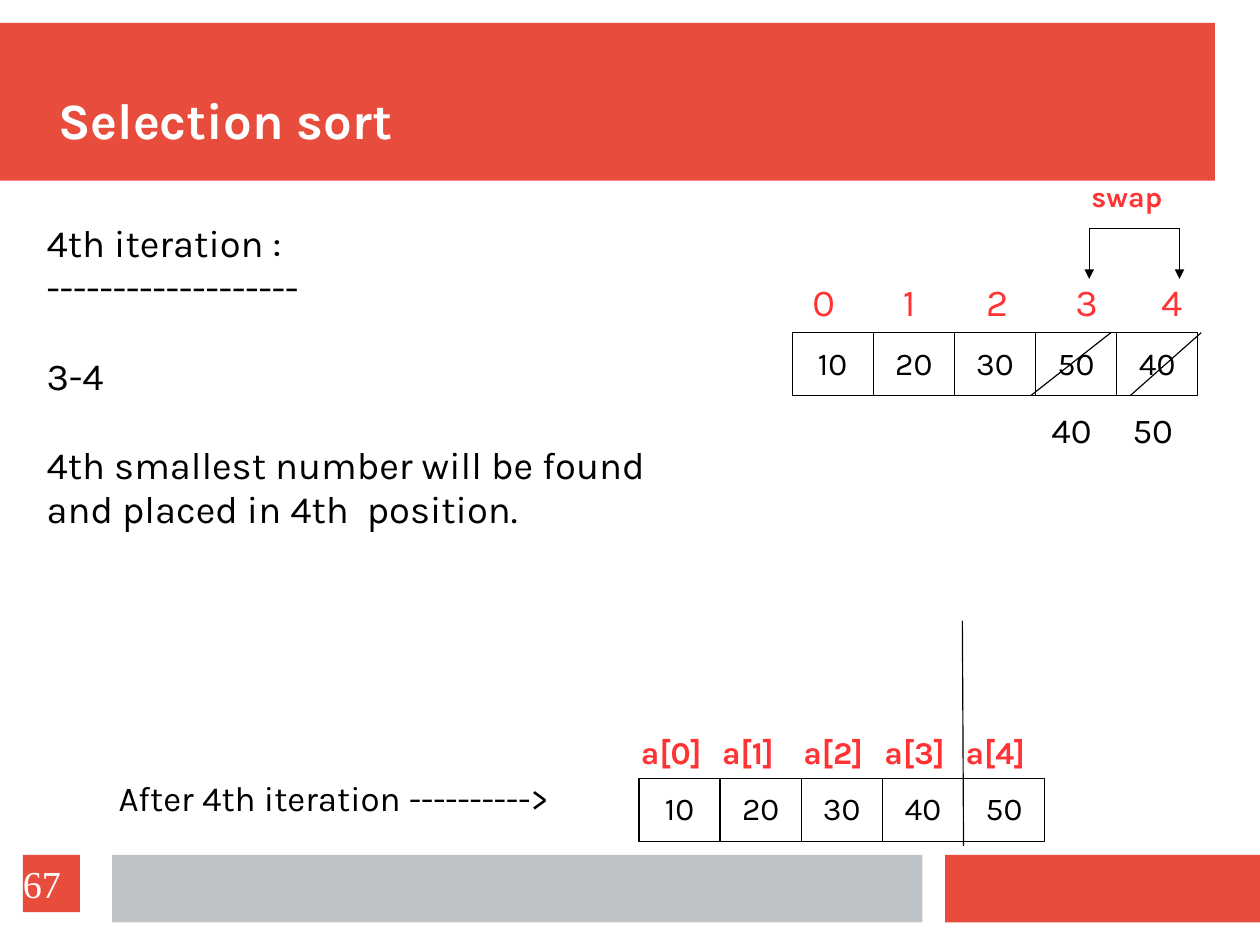
from lxml import etree
from pptx import Presentation
from pptx import util as u
from pptx.dml.color import RGBColor
from pptx.enum import shapes, text
from pptx.oxml.ns import qn

RED = RGBColor(0xE7, 0x4C, 0x3C)
GRAY = RGBColor(0xBD, 0xC3, 0xC7)
LABEL_RED = RGBColor(0xFF, 0x33, 0x33)
BLACK = RGBColor(0, 0, 0)
WHITE = RGBColor(0xFF, 0xFF, 0xFF)

CELL_WIDTH = 0.71
CELL_HEIGHT = 0.55


def write_text(frame, lines, size=24, color=BLACK, bold=False, font="Karla",
               align=text.PP_ALIGN.LEFT, anchor=text.MSO_ANCHOR.TOP, wrap=False,
               insets=(0.1, 0.05, 0.1, 0.05), spacing=0.97, gaps=None):
    """Fill a text frame; gaps maps a line index to its space before in points."""
    frame.auto_size = text.MSO_AUTO_SIZE.NONE
    frame.word_wrap = wrap
    frame.vertical_anchor = anchor
    (frame.margin_left, frame.margin_top,
     frame.margin_right, frame.margin_bottom) = map(u.Inches, insets)
    for index, line in enumerate(lines):
        paragraph = frame.paragraphs[0] if index == 0 else frame.add_paragraph()
        paragraph.alignment = align
        paragraph.line_spacing = spacing
        paragraph.space_before = u.Pt((gaps or {}).get(index, 0))
        run = paragraph.add_run()
        run.text = line
        run.font.name = font
        run.font.size = u.Pt(size)
        run.font.bold = bold
        run.font.color.rgb = color


class SlideBuilder:
    def __init__(self, slide, line_width=0.75):
        self.slide = slide
        self.line_width = u.Pt(line_width)

    def title(self, words, left, top, width, height):
        title = self.slide.shapes.title
        title.left, title.top = u.Inches(left), u.Inches(top)
        title.width, title.height = u.Inches(width), u.Inches(height)
        write_text(title.text_frame, [words], size=32, color=WHITE, bold=True,
                   anchor=text.MSO_ANCHOR.BOTTOM, wrap=True, insets=(0.12, 0, 0, 0))
        # Bring the title in front of the banner
        self.slide.shapes._spTree.append(title._element)

    def box(self, left, top, width, height, fill, outline=None):
        shape = self.slide.shapes.add_shape(
            shapes.MSO_SHAPE.RECTANGLE, *map(u.Inches, (left, top, width, height)))
        shape.shadow.inherit = False
        shape.fill.solid()
        shape.fill.fore_color.rgb = fill
        if outline is None:
            shape.line.fill.background()
        else:
            shape.line.color.rgb = outline
            shape.line.width = self.line_width
        return shape

    def label(self, lines, left, top, width, height, **style):
        shape = self.slide.shapes.add_textbox(
            *map(u.Inches, (left, top, width, height)))
        write_text(shape.text_frame, lines, **style)

    def array(self, values, left, top):
        for index, value in enumerate(values):
            cell = self.box(left + index * CELL_WIDTH, top, CELL_WIDTH,
                            CELL_HEIGHT, WHITE, BLACK)
            write_text(cell.text_frame, [str(value)], size=20,
                       align=text.PP_ALIGN.CENTER, anchor=text.MSO_ANCHOR.MIDDLE)

    def line(self, start, end, arrow=False):
        connector = self.slide.shapes.add_connector(
            shapes.MSO_CONNECTOR.STRAIGHT, *map(u.Inches, start + end))
        connector.line.color.rgb = BLACK
        connector.line.width = self.line_width
        if arrow:
            etree.SubElement(connector.line._get_or_add_ln(), qn("a:tailEnd"),
                             type="triangle")
        etree.SubElement(connector._element.spPr, qn("a:effectLst"))


def main():
    presentation = Presentation()
    presentation.slide_width = u.Cm(28)
    presentation.slide_height = u.Cm(21)
    builder = SlideBuilder(presentation.slides.add_slide(presentation.slide_layouts[5]))

    builder.box(0, 0.2, 10.63, 1.38, RED)
    builder.box(8.27, 7.48, 2.76, 0.59, RED)
    builder.box(0.98, 7.48, 7.09, 0.59, GRAY)
    builder.title("Selection sort", 0.39, 0.39, 10.19, 0.93)

    builder.label(["4th iteration :", "-" * 19, "3-4",
                   "4th smallest number will be found",
                   "and placed in 4th  position."],
                  0.31, 1.89, 5.75, 2.83, gaps={2: 28, 3: 28})

    # Array before the swap
    builder.array([10, 20, 30, 50, 40], 6.93, 2.91)
    for index, left in enumerate([7.01, 7.8, 8.53, 9.31, 10.06]):
        builder.label([str(index)], left, 2.41, 0.41, 0.5, color=LABEL_RED)
    builder.label(["swap"], 9.45, 1.53, 0.92, 0.4, size=18, color=LABEL_RED, bold=True)
    builder.line((9.53, 2), (10.32, 2))
    for x in (9.53, 10.32):
        builder.line((x, 2), (x, 2.44), arrow=True)
    builder.line((9.72, 2.91), (9.02, 3.46))
    builder.line((10.51, 2.91), (9.89, 3.46))
    for value, left in (("40", 9.1), ("50", 9.81)):
        builder.label([value], left, 3.55, 0.59, 0.47, size=22)

    # Array after the iteration
    builder.label(["After 4th iteration ---------->"], 0.94, 6.77, 4.37, 0.47, size=22)
    builder.array([10, 20, 30, 40, 50], 5.59, 6.81)
    for index in range(5):
        builder.label([f"a[{index}]"], 5.51 + index * CELL_WIDTH, 6.38, 0.83, 0.43,
                      size=20, color=LABEL_RED, bold=True)
    builder.line((8.42, 5.43), (8.43, 7.4))

    page_number = builder.box(0.2, 7.48, 0.5, 0.5, RED)
    write_text(page_number.text_frame, ["67"], color=WHITE, font="Times New Roman",
               anchor=text.MSO_ANCHOR.MIDDLE, wrap=True, insets=(0, 0, 0, 0),
               spacing=1.0)

    presentation.save("out.pptx")


if __name__ == "__main__":
    main()
